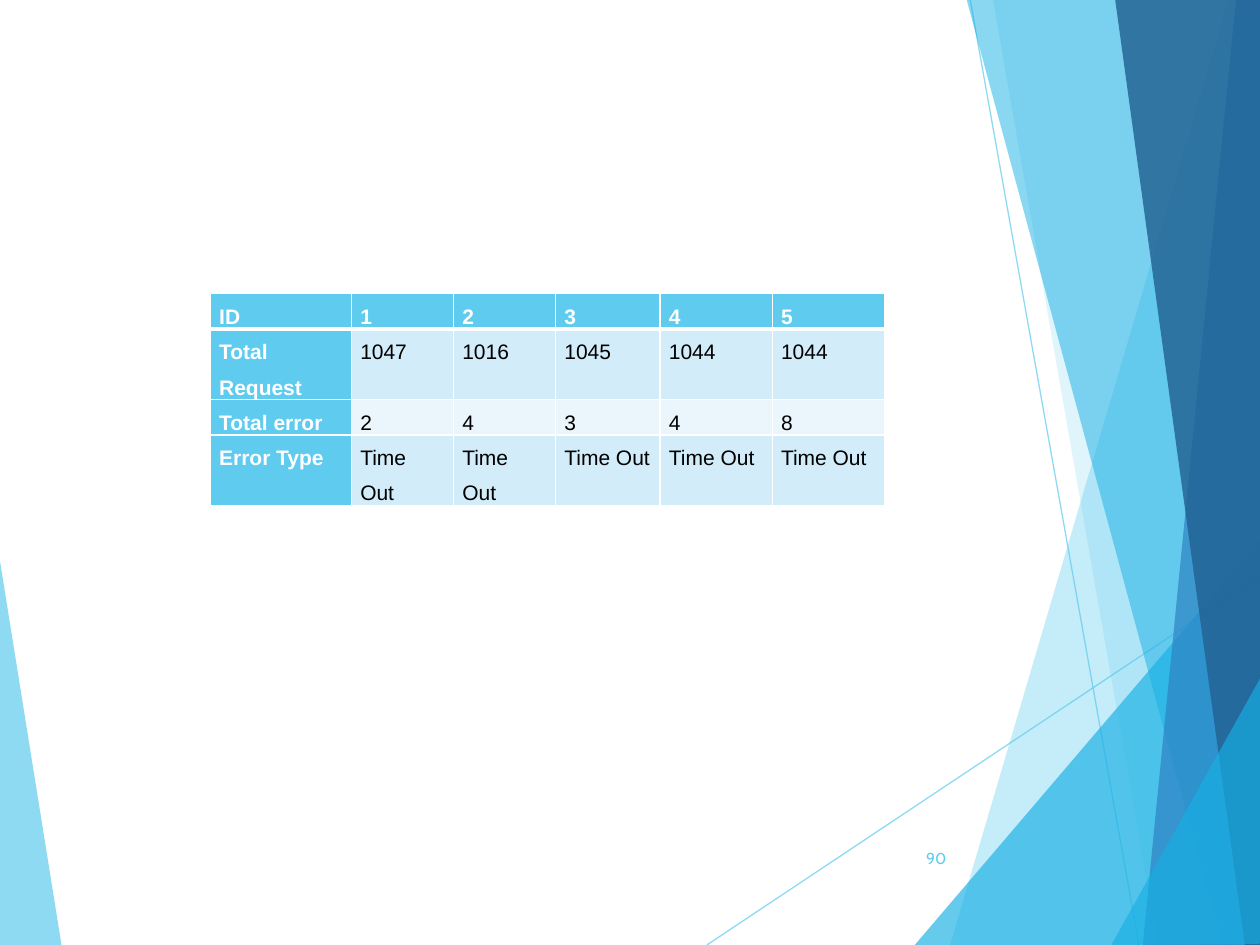
from lxml import etree
from pptx import Presentation
from pptx.dml.color import RGBColor
from pptx.enum.shapes import MSO_CONNECTOR
from pptx.enum.text import MSO_ANCHOR, PP_ALIGN
from pptx.oxml.ns import qn
from pptx.util import Inches, Pt

STRAIGHT = MSO_CONNECTOR.STRAIGHT
MIDDLE = MSO_ANCHOR.MIDDLE
RIGHT = PP_ALIGN.RIGHT

COLORS = {
    "sky": "5FCBEF",
    "cyan": "17B0E4",
    "blue": "2E83C3",
    "navy": "226292",
    "band_dark": "D2ECF9",
    "band_light": "EAF6FC",
    "white": "FFFFFF",
    "black": "000000",
}

LEFT_FACET = ("sky", 70, [(-0.01, 4.39), (0.49, 7.51), (-0.01, 7.5)])
RAYS = [((5.61, 7.5), (10.01, 4.57)), ((7.7, 0), (9.04, 7.5))]
RIGHT_FACETS = [
    ("sky", 36, [(9.75, 0), (7.54, 7.5), (10.02, 7.51), (10.01, 0.01)]),
    ("sky", 20, [(7.88, -0.01), (9.19, 7.5), (10.01, 7.5), (10.01, -0.01)]),
    ("cyan", 66, [(7.26, 7.5), (10, 4.29), (10.01, 7.5)]),
    ("cyan", 50, [(7.67, -0.01), (9.7, 7.5), (10.01, 7.49), (10.01, -0.01)]),
    ("blue", 70, [(9.81, -0.01), (9.07, 7.5), (10.01, 7.5), (10, -0.01)]),
    ("navy", 82, [(8.85, -0.01), (9.88, 7.5), (10.02, 7.5), (10, -0.01)]),
    ("cyan", 66, [(8.82, 7.5), (10.02, 5.35), (10.02, 7.49)]),
]

RESULTS = [
    ["ID", "1", "2", "3", "4", "5"],
    ["Total Request", "1047", "1016", "1045", "1044", "1044"],
    ["Total error", "2", "4", "3", "4", "8"],
    ["Error Type"] + ["Time Out"] * 5,
]
COLUMN_WIDTHS = [1.12, 0.81, 0.81, 0.83, 0.89, 0.89]
ROW_HEIGHTS = [0.28, 0.56, 0.28, 0.56]


def rgb(name):
    return RGBColor.from_string(COLORS[name])


def set_opacity(fill_parent, percent):
    """Make the solid fill below an element partly transparent."""
    color = fill_parent.find(qn("a:solidFill"))[0]
    etree.SubElement(color, qn("a:alpha"), val=str(percent * 1000))


def add_facet(slide, color, opacity, corners):
    points = [(Inches(x), Inches(y)) for x, y in corners]
    builder = slide.shapes.build_freeform(*points[0])
    builder.add_line_segments(points[1:], close=True)
    facet = builder.convert_to_shape()
    facet.shadow.inherit = False
    facet.fill.solid()
    facet.fill.fore_color.rgb = rgb(color)
    set_opacity(facet._element.spPr, opacity)
    facet.line.fill.background()


def add_ray(slide, start, end):
    ray = slide.shapes.add_connector(
        STRAIGHT, *(Inches(value) for value in start + end))
    ray.line.color.rgb = rgb("sky")
    ray.line.width = Pt(0.75)
    properties = ray._element.spPr
    set_opacity(properties.find(qn("a:ln")), 70)
    etree.SubElement(properties, qn("a:effectLst"))


def add_run(paragraph, text, font, size, color, bold=False):
    run = paragraph.add_run()
    run.text = text
    run.font.name = font
    run.font.size = Pt(size)
    run.font.bold = bold
    run.font.color.rgb = rgb(color)


def set_borders(cell, widths):
    """Draw white borders; widths are points by side, in schema order."""
    properties = cell._tc.get_or_add_tcPr()
    for position, (side, width) in enumerate(widths.items()):
        border = etree.Element(qn(f"a:ln{side}"), w=str(Pt(width)))
        fill = etree.SubElement(border, qn("a:solidFill"))
        etree.SubElement(fill, qn("a:srgbClr"), val=COLORS["white"])
        properties.insert(position, border)


def fill_cell(cell, text, row, column):
    heading = row == 0 or column == 0
    band = "band_dark" if row % 2 else "band_light"
    cell.fill.solid()
    cell.fill.fore_color.rgb = rgb("sky" if heading else band)
    cell.margin_left = cell.margin_right = Inches(0.07)
    cell.margin_top = cell.margin_bottom = 0
    paragraph = cell.text_frame.paragraphs[0]
    paragraph.line_spacing = 1.5
    paragraph.space_after = Pt(10)
    add_run(paragraph, text, "Arial", 12,
            "white" if heading else "black", heading)
    set_borders(cell, {"L": 1, "R": 1, "T": 3 if row == 1 else 1,
                       "B": 3 if row == 0 else 1})


def add_results_table(slide):
    table = slide.shapes.add_table(
        len(ROW_HEIGHTS), len(COLUMN_WIDTHS), Inches(1.67), Inches(2.33),
        Inches(sum(COLUMN_WIDTHS)), Inches(sum(ROW_HEIGHTS))).table
    for column, width in zip(table.columns, COLUMN_WIDTHS):
        column.width = Inches(width)
    for row, height in zip(table.rows, ROW_HEIGHTS):
        row.height = Inches(height)
    for r, values in enumerate(RESULTS):
        for c, value in enumerate(values):
            fill_cell(table.cell(r, c), value, r, c)


def add_page_number(slide, number):
    frame = slide.shapes.add_textbox(
        Inches(7.05), Inches(6.61), Inches(0.56), Inches(0.4)).text_frame
    frame.word_wrap = True
    frame.vertical_anchor = MIDDLE
    paragraph = frame.paragraphs[0]
    paragraph.alignment = RIGHT
    add_run(paragraph, number, "Cabin", 9, "sky")


def main():
    deck = Presentation()
    deck.slide_width, deck.slide_height = Inches(10), Inches(7.5)
    slide = deck.slides.add_slide(deck.slide_layouts[6])
    add_facet(slide, *LEFT_FACET)
    for start, end in RAYS:
        add_ray(slide, start, end)
    for facet in RIGHT_FACETS:
        add_facet(slide, *facet)
    add_results_table(slide)
    add_page_number(slide, "90")
    deck.save("out.pptx")


if __name__ == "__main__":
    main()
